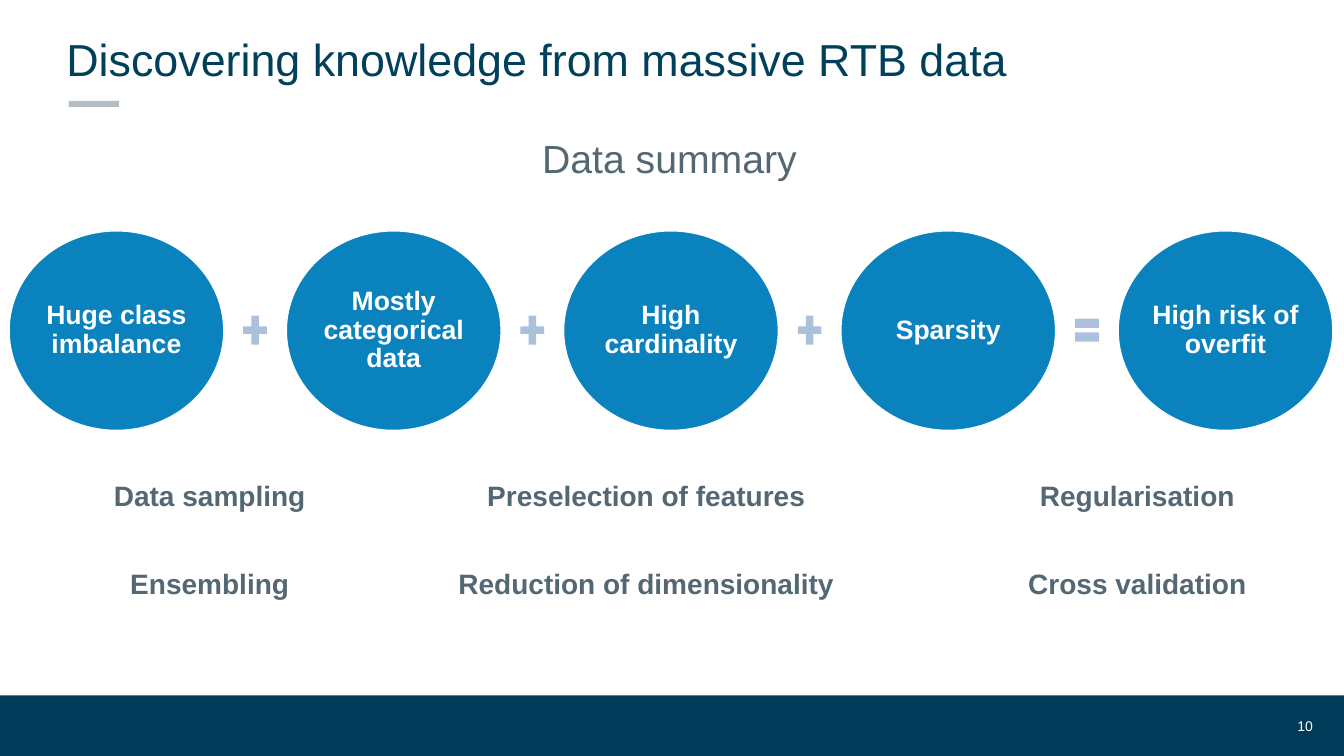
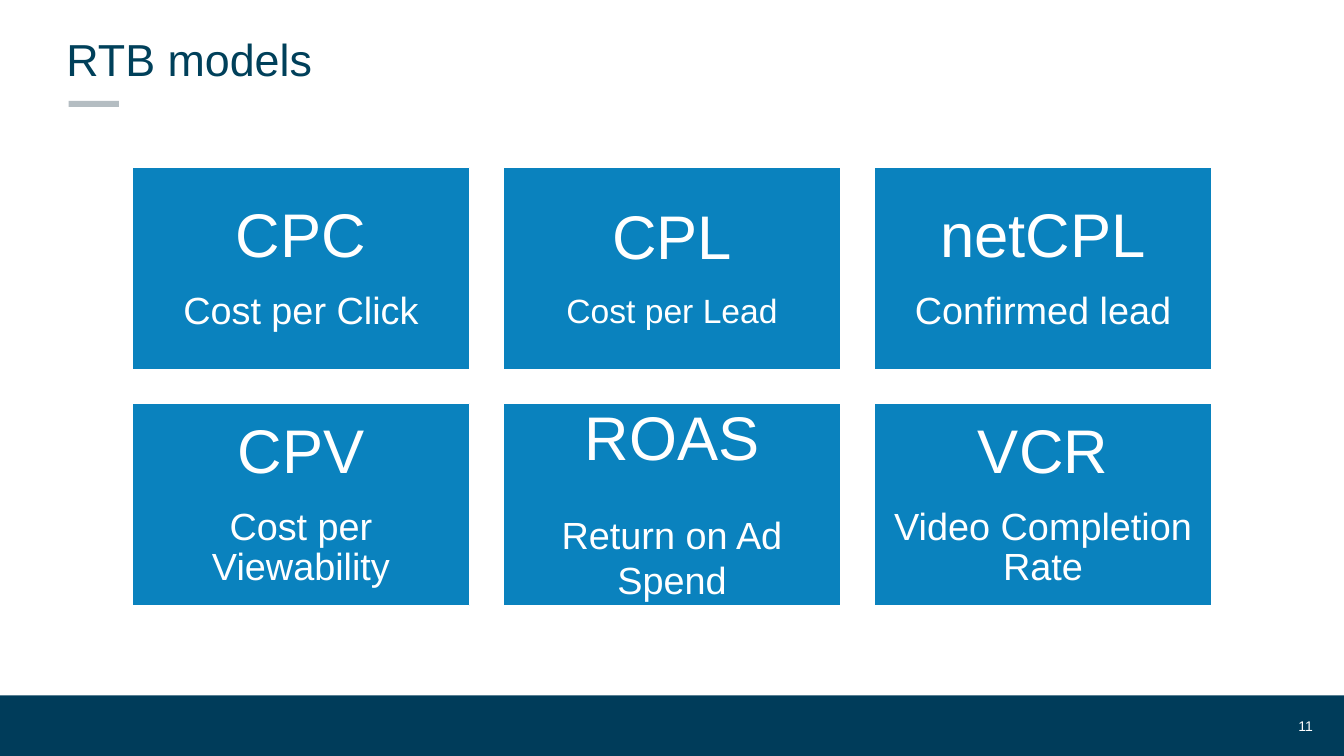
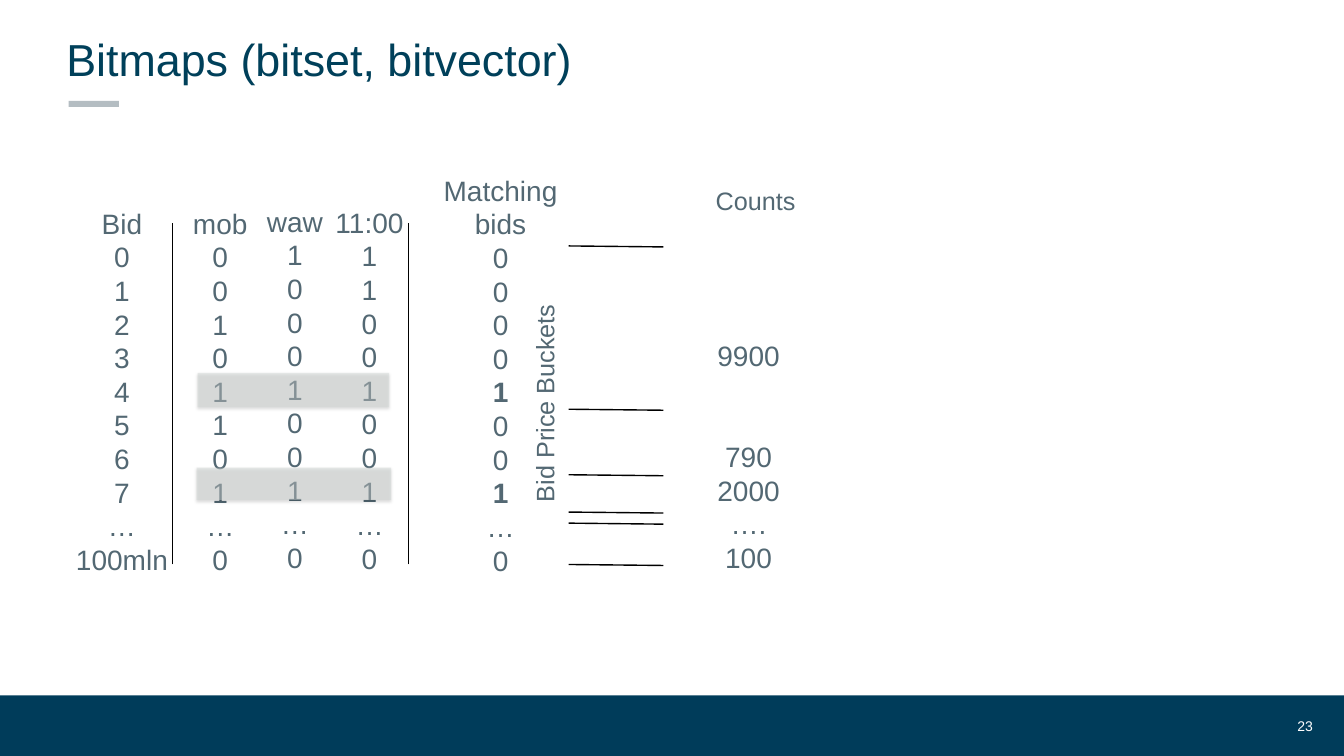
from dataclasses import dataclass

from lxml.etree import SubElement
from pptx import Presentation
from pptx.dml.color import RGBColor
from pptx.enum.shapes import MSO_CONNECTOR, MSO_SHAPE
from pptx.enum.text import MSO_ANCHOR, PP_ALIGN
from pptx.oxml.ns import qn
from pptx.util import Inches, Pt


@dataclass(frozen=True)
class Theme:
    """Colours, type sizes and slide size used throughout."""

    font: str = "Arial"
    band: str = "003C5A"
    heading: str = "00405A"
    accent: str = "B4BDC2"
    body: str = "536873"
    blue: str = "0A82BE"
    operator: str = "ABC1DB"
    highlight: str = "CFD5D3"
    white: str = "FFFFFF"
    black: str = "000000"
    title_size: int = 32
    subtitle_size: int = 28
    acronym_size: int = 44
    meaning_size: int = 27
    small_meaning_size: int = 24
    text_size: int = 20
    circle_size: int = 19
    label_size: int = 18
    page_size: int = 10
    width: float = 13.33
    height: float = 7.5


THEME = Theme()


def style(paragraph, size, color, bold=False, align=PP_ALIGN.CENTER):
    """Set the font and alignment of one paragraph."""
    paragraph.alignment = align
    paragraph.font.name = THEME.font
    paragraph.font.size = Pt(size)
    paragraph.font.bold = bold
    paragraph.font.color.rgb = RGBColor.from_string(color)


def set_frame(frame, margin, anchor):
    """Wrap a text frame and set its margins and anchor."""
    frame.word_wrap = True
    frame.vertical_anchor = anchor
    if margin is not None:
        frame.margin_left = frame.margin_right = Inches(margin)
        frame.margin_top = frame.margin_bottom = Inches(margin)


def write(frame, lines, size, color, bold=False, align=PP_ALIGN.CENTER):
    """Fill a text frame with one paragraph per line."""
    for index, line in enumerate(lines):
        paragraph = frame.paragraphs[0] if index == 0 else frame.add_paragraph()
        paragraph.text = line
        style(paragraph, size, color, bold, align)


def add_text(slide, box, lines, size, color=THEME.body, bold=False,
             align=PP_ALIGN.LEFT, anchor=MSO_ANCHOR.TOP, margin=None):
    """Add a text box and return it."""
    label = slide.shapes.add_textbox(*map(Inches, box))
    set_frame(label.text_frame, margin, anchor)
    write(label.text_frame, lines, size, color, bold, align)
    return label


def add_block(slide, kind, box, fill, outline=None):
    """Add a filled preset shape and return it."""
    block = slide.shapes.add_shape(kind, *map(Inches, box))
    block.shadow.inherit = False
    block.fill.solid()
    block.fill.fore_color.rgb = RGBColor.from_string(fill)
    if outline:
        block.line.color.rgb = RGBColor.from_string(outline)
        block.line.width = Pt(1)
    else:
        block.line.fill.background()
    return block


def add_rule(slide, start, end):
    """Add a thin black line between two points."""
    rule = slide.shapes.add_connector(
        MSO_CONNECTOR.STRAIGHT, *map(Inches, (*start, *end)))
    rule.line.color.rgb = RGBColor.from_string(THEME.black)
    rule.line.width = Pt(1)
    SubElement(rule._element.spPr, qn("a:effectLst"))


def add_highlight(slide, box):
    """Add a translucent strip with a soft shadow."""
    strip = add_block(slide, MSO_SHAPE.RECTANGLE, box, THEME.highlight)
    properties = strip._element.spPr
    color = properties.find(qn("a:solidFill")).find(qn("a:srgbClr"))
    SubElement(color, qn("a:alpha"), val="46000")
    shadow = SubElement(properties.find(qn("a:effectLst")), qn("a:outerShdw"),
                        blurRad=str(Pt(2)), dist=str(Pt(1)), dir="5400000",
                        rotWithShape="0")
    shade = SubElement(shadow, qn("a:srgbClr"), val=THEME.black)
    SubElement(shade, qn("a:alpha"), val="29000")


def add_page(deck, title, number):
    """Add a slide with the shared band, title and page number."""
    slide = deck.slides.add_slide(deck.slide_layouts[6])
    band_height = 0.08 * THEME.height
    add_block(slide, MSO_SHAPE.RECTANGLE,
              (0, THEME.height - band_height, THEME.width, band_height), THEME.band)
    add_block(slide, MSO_SHAPE.RECTANGLE, (0.68, 1, 0.5, 0.06), THEME.accent)
    add_text(slide, (0.56, 0.2, 12.2, 0.76), [title], THEME.title_size,
             THEME.heading, anchor=MSO_ANCHOR.MIDDLE)
    add_text(slide, (12.65, 7, 0.47, 0.4), [str(number)], THEME.page_size,
             THEME.white, align=PP_ALIGN.RIGHT, anchor=MSO_ANCHOR.MIDDLE)
    return slide


def add_circle(slide, box, issue):
    """Add a blue circle naming one data issue."""
    circle = add_block(slide, MSO_SHAPE.OVAL, box, THEME.blue, THEME.white)
    set_frame(circle.text_frame, 0.01, MSO_ANCHOR.MIDDLE)
    write(circle.text_frame, [issue], THEME.circle_size, THEME.white, bold=True)
    circle.text_frame.paragraphs[0].line_spacing = 0.9


def add_model(slide, box, acronym, meaning, size=THEME.meaning_size,
              margin=0.18, gap=15, spacing=0.9):
    """Add a tile with an acronym above its meaning."""
    tile = add_block(slide, MSO_SHAPE.RECTANGLE, box, THEME.blue, THEME.white)
    set_frame(tile.text_frame, margin, MSO_ANCHOR.MIDDLE)
    write(tile.text_frame, [acronym, meaning], size, THEME.white)
    heading, explanation = tile.text_frame.paragraphs
    heading.font.size = Pt(THEME.acronym_size)
    heading.line_spacing = 0.9
    heading.space_after = Pt(gap)
    explanation.line_spacing = spacing


def add_column(slide, box, header, values, anchor=MSO_ANCHOR.MIDDLE):
    """Add a centred column of values and return its paragraphs."""
    column = add_text(slide, box, [*header, *values.split()], THEME.text_size,
                      align=PP_ALIGN.CENTER, anchor=anchor, margin=0.03)
    return column.text_frame.paragraphs


def build_summary(deck):
    """Build the slide that adds up the data issues."""
    slide = add_page(deck, "Discovering knowledge from massive RTB data", 10)
    left, pitch = 0.09, 2.75
    issues = ["Huge class imbalance", "Mostly categorical data",
              "High cardinality", "Sparsity", "High risk of overfit"]
    for index, issue in enumerate(issues):
        add_circle(slide, (left + index * pitch, 2.29, 2.13, 1.98), issue)
    signs = [MSO_SHAPE.MATH_PLUS] * 3 + [MSO_SHAPE.MATH_EQUAL]
    for index, sign in enumerate(signs):
        add_block(slide, sign, (left + 2.28 + index * pitch, 3.08, 0.32, 0.39),
                  THEME.operator)
    add_text(slide, (5.26, 1.28, 2.76, 0.57), ["Data summary"],
             THEME.subtitle_size, align=PP_ALIGN.CENTER)
    remedies = [
        (2.08, [("Data sampling", 2.12), ("Ensembling", 1.79)]),
        (6.41, [("Preselection of features", 3.38),
                ("Reduction of dimensionality", 3.96)]),
        (11.28, [("Regularisation", 2.15), ("Cross validation", 2.38)]),
    ]
    for center, labels in remedies:
        for row, (remedy, width) in enumerate(labels):
            add_text(slide, (center - width / 2, 4.7 + row * 0.87, width, 0.44),
                     [remedy], THEME.text_size, bold=True, align=PP_ALIGN.CENTER)


def build_models(deck):
    """Build the slide with the grid of pricing models."""
    slide = add_page(deck, "RTB models", 11)
    models = [
        ("CPC", "Cost per Click", {}),
        ("CPL", "Cost per Lead", {"size": THEME.small_meaning_size}),
        ("netCPL", "Confirmed lead", {}),
        ("CPV", "Cost per Viewability", {"margin": 0.15}),
        ("ROAS", "Return on Ad Spend", {"gap": 27, "spacing": 1.0}),
        ("VCR", "Video Completion Rate", {}),
    ]
    width, height, gap = 3.35, 2.01, 0.33
    for index, (acronym, meaning, options) in enumerate(models):
        row, column = divmod(index, 3)
        box = (1.31 + column * (width + gap), 1.66 + row * (height + gap),
               width, height)
        add_model(slide, box, acronym, meaning, **options)


def build_bitmaps(deck):
    """Build the slide that matches bids with bitmaps."""
    slide = add_page(deck, "Bitmaps (bitset, bitvector)", 23)
    columns = [
        (0.71, 2, 1, "Bid", "0 1 2 3 4 5 6 7 … 100mln"),
        (1.85, 2, 0.67, "mob", "0 0 1 0 1 1 0 1 … 0"),
        (2.59, 1.98, 0.67, "waw", "1 0 0 0 1 0 0 1 … 0"),
        (3.24, 1.99, 0.85, "11:00", "1 1 0 0 1 0 0 1 … 0"),
    ]
    for left, top, width, header, bits in columns:
        add_column(slide, (left, top, width, 3.76), [header], bits)
    for strip in [(1.96, 3.7, 1.9, 0.34), (1.95, 4.64, 1.93, 0.32)]:
        add_highlight(slide, strip)
    matches = add_column(slide, (4.35, 1.67, 1.23, 4.1), ["Matching\vbids"],
                         "0 0 0 0 1 0 0 1 … 0")
    for match in matches:
        match.font.bold = match.text == "1"
    for divider in (1.71, 4.05):
        add_rule(slide, (divider, 5.6), (divider, 2.21))

    buckets = add_text(slide, (3.9, 3.38, 3, 0.4), ["Bid Price Buckets"],
                       THEME.label_size)
    buckets.rotation = 270
    for edge in (2.44, 4.06, 4.71, 5.08, 5.19, 5.6):
        add_rule(slide, (5.64, edge), (6.58, edge + 0.01))
    counts = add_column(slide, (6.81, 3.33, 1.23, 2.75), [],
                        "9900 790 2000 …. 100", MSO_ANCHOR.TOP)
    counts[1].space_before = Pt(2.4 * THEME.text_size)
    add_text(slide, (7, 1.79, 1.19, 0.4), ["Counts"], THEME.label_size)


def main():
    """Build and save the presentation."""
    deck = Presentation()
    deck.slide_width = Inches(THEME.width)
    deck.slide_height = Inches(THEME.height)
    build_summary(deck)
    build_models(deck)
    build_bitmaps(deck)
    deck.save("out.pptx")


if __name__ == "__main__":
    main()
